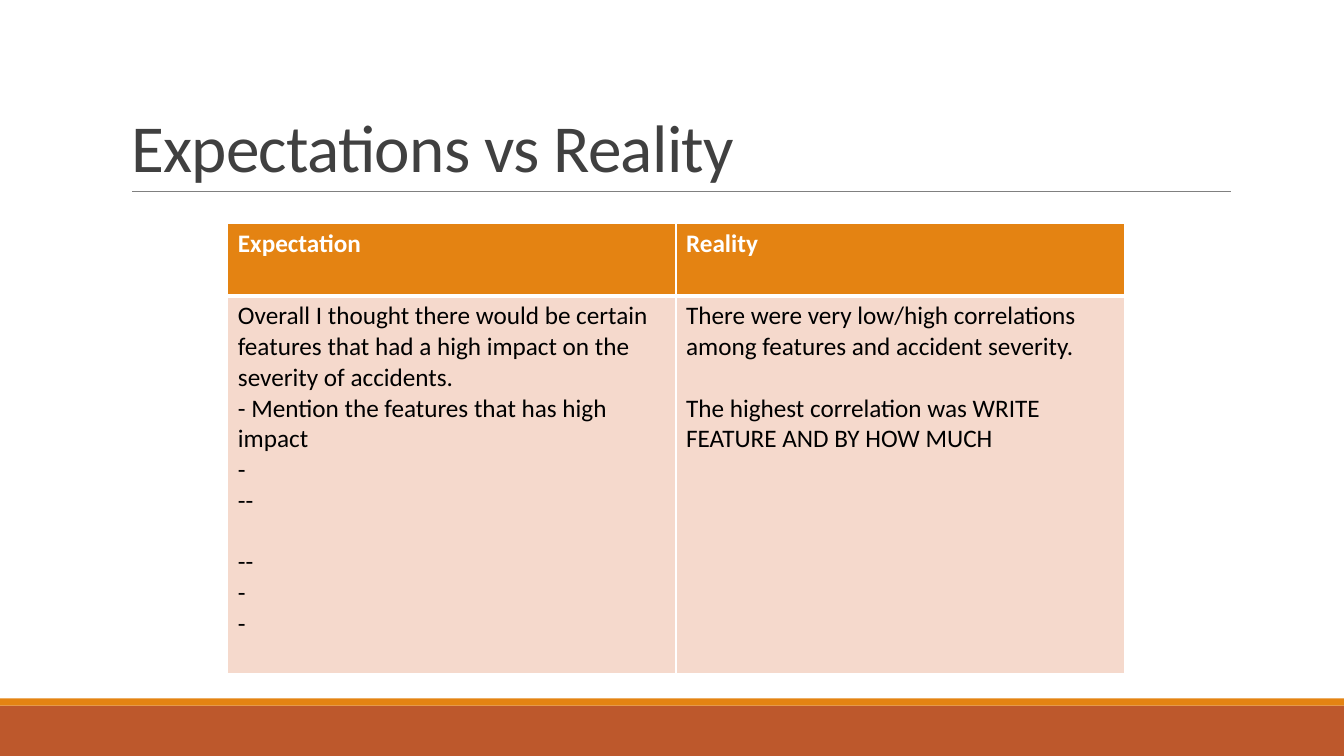
from pptx import Presentation
from pptx import util as u
from pptx.dml.color import RGBColor
from pptx.enum import shapes, text
from pptx.oxml import parse_xml
from pptx.oxml.ns import nsdecls

ORANGE = RGBColor(0xE4, 0x83, 0x12)
RUST = RGBColor(0xBD, 0x58, 0x2C)
BLUSH = RGBColor(0xF5, 0xD9, 0xCC)
WHITE = RGBColor(0xFF, 0xFF, 0xFF)
BLACK = RGBColor(0, 0, 0)
DARK = RGBColor(0x40, 0x40, 0x40)
GREY = RGBColor(0x80, 0x80, 0x80)

WIDTH, HEIGHT = 13.33, 7.5
FONT = "Calibri"
LINE_GAP = 22  # points, one line of body text

HEADERS = ["Expectation", "Reality"]
# Each cell is a list of groups, set apart by one line
BODIES = [
    [["Overall I thought there would be certain features that had a high "
      "impact on the severity of accidents.",
      "- Mention the features that has high impact", "-", "--"],
     ["--", "-", "-"]],
    [["There were very low/high correlations among features and accident severity."],
     ["The highest correlation was WRITE FEATURE AND BY HOW MUCH"]],
]


class SlideBuilder:
    """Holds the slide; places are shares of its width and height."""

    def __init__(self, prs):
        self.prs = prs
        self.s = prs.slides.add_slide(prs.slide_layouts[5])

    def x(self, share):
        return int(self.prs.slide_width * share)

    def y(self, share):
        return int(self.prs.slide_height * share)

    def box(self, left, top, width, height):
        return self.x(left), self.y(top), self.x(width), self.y(height)

    def style(self, p, size, color, bold=False):
        for r in p.runs:
            r.font.name, r.font.size, r.font.bold = FONT, u.Pt(size), bold
            r.font.color.rgb = color

    def band(self, top, height, color):
        sp = self.s.shapes.add_shape(shapes.MSO_SHAPE.RECTANGLE, *self.box(0, top, 1, height))
        sp.shadow.inherit = False
        sp.fill.solid()
        sp.fill.fore_color.rgb = color
        sp.line.fill.background()

    def rule(self, left, right, y):
        line = self.s.shapes.add_connector(
            shapes.MSO_CONNECTOR.STRAIGHT, self.x(left), self.y(y), self.x(right), self.y(y))
        line.line.color.rgb, line.line.width = GREY, u.Pt(0.5)
        line._element.spPr.append(parse_xml(f"<a:effectLst {nsdecls('a')}/>"))

    def title(self, words, *place):
        sp = self.s.shapes.title
        sp.left, sp.top, sp.width, sp.height = self.box(*place)
        tf = sp.text_frame
        tf.text = words
        tf.word_wrap, tf.auto_size = True, text.MSO_AUTO_SIZE.NONE
        tf.vertical_anchor = text.MSO_ANCHOR.BOTTOM
        p = tf.paragraphs[0]
        p.alignment, p.line_spacing = text.PP_ALIGN.LEFT, 0.85
        self.style(p, 48, DARK)
        p.runs[0].font._element.set("spc", "-50")

    def cell(self, cell, groups, fill, color, bold, top, bottom):
        # Borders go in ahead of the fill
        tcPr = cell._tc.get_or_add_tcPr()
        for side, points in (("L", 1), ("R", 1), ("T", top), ("B", bottom)):
            tcPr.append(parse_xml(
                f'<a:ln{side} {nsdecls("a")} w="{u.Pt(points)}"><a:solidFill>'
                f'<a:srgbClr val="{WHITE}"/></a:solidFill></a:ln{side}>'))
        cell.fill.solid()
        cell.fill.fore_color.rgb = fill
        tf = cell.text_frame
        tf.text = "\n".join(line for group in groups for line in group)
        paragraphs = iter(tf.paragraphs)
        for g, group in enumerate(groups):
            for i, _ in enumerate(group):
                p = next(paragraphs)
                self.style(p, 18, color, bold)
                if g and i == 0:
                    p.space_before = u.Pt(LINE_GAP)

    def table(self, headers, bodies, place, header_share):
        left, top, width, height = self.box(*place)
        table = self.s.shapes.add_table(2, len(headers), left, top, width, height).table
        table.rows[0].height = int(height * header_share)
        table.rows[1].height = height - table.rows[0].height
        for c, (header, body) in enumerate(zip(headers, bodies)):
            self.cell(table.cell(0, c), [[header]], ORANGE, WHITE, True, 1, 3)
            self.cell(table.cell(1, c), body, BLUSH, BLACK, False, 3, 1)


def main():
    prs = Presentation()
    prs.slide_width, prs.slide_height = u.Inches(WIDTH), u.Inches(HEIGHT)
    slide = SlideBuilder(prs)

    # Footer bands and title rule
    slide.band(7 / HEIGHT, 0.5 / HEIGHT, RUST)
    slide.band(6.93 / HEIGHT, 0.07 / HEIGHT, ORANGE)
    slide.rule(1.31 / WIDTH, 12.21 / WIDTH, 1.9 / HEIGHT)

    # Title
    slide.title("Expectations vs Reality",
                1.2 / WIDTH, 0.31 / HEIGHT, 11 / WIDTH, 1.59 / HEIGHT)

    # Comparison table
    slide.table(HEADERS, BODIES,
                (2.26 / WIDTH, 2.22 / HEIGHT, 8.89 / WIDTH, 4.46 / HEIGHT), 0.16)

    prs.save("out.pptx")


if __name__ == "__main__":
    main()
